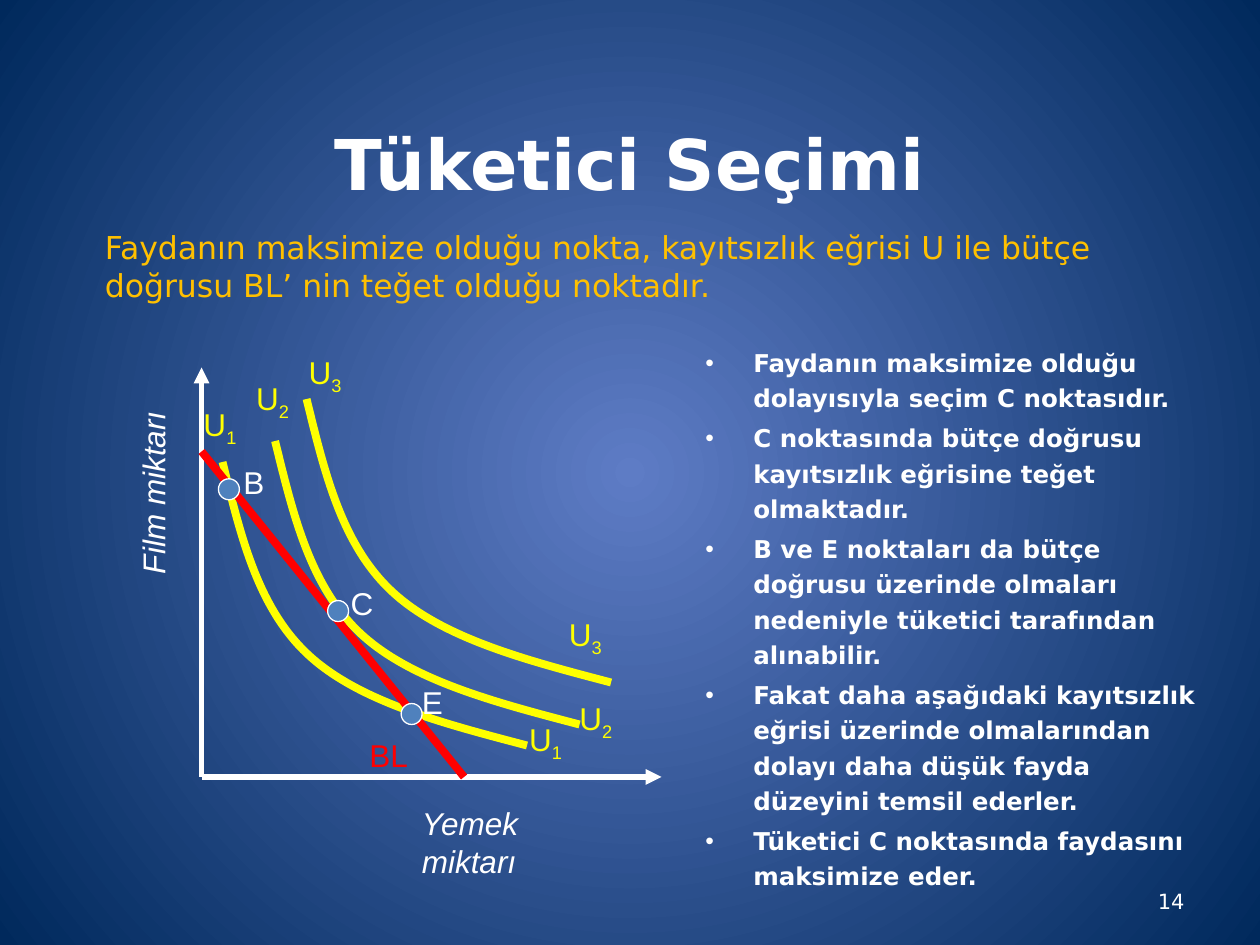
from dataclasses import dataclass

from lxml import etree
from pptx import Presentation
from pptx import util as u
from pptx.dml.color import RGBColor
from pptx.enum import shapes, text
from pptx.oxml.ns import qn

WIDTH, HEIGHT = u.Inches(10), u.Inches(7.5)
COLUMNS, ROWS = 120, 90
MIDDLE = text.MSO_ANCHOR.MIDDLE


@dataclass(frozen=True)
class Theme:
    glow: str = "5E7CC5"
    edge: str = "00295C"
    white: str = "FFFFFF"
    curve: str = "FFFF00"
    budget: str = "FF0000"
    point: str = "4F81BD"
    lead: str = "FFC000"
    prose: str = "DejaVu Sans"
    label: str = "Arial"
    title_size: float = 40
    lead_size: float = 18
    body_size: float = 14
    number_size: float = 12
    thick: float = 4.5
    axis: float = 3
    thin: float = 0.75


THEME = Theme()
ORIGIN = (19.2, 74)
BEND = [(1.7, 6.9), (3.3, 13.8), (8.1, 18.3), (12.9, 22.8), (21, 24.9), (29, 27)]
CURVES = {
    "3": ((29.2, 38), (28.2, 33), (53, 58)),
    "2": ((26.2, 42), (23.2, 35.5), (54, 66)),
    "1": ((21.2, 44), (18.2, 38), (49.2, 68)),
}
CHOICES = {
    "B": ((21.8, 46.6), (22, 43.5)),
    "C": ((32.2, 58.2), (32.2, 55)),
    "E": ((39.2, 68), (39, 64.5)),
}
POINTS = [
    "Faydanın maksimize olduğu dolayısıyla seçim C noktasıdır.",
    "C noktasında bütçe doğrusu kayıtsızlık eğrisine teğet olmaktadır.",
    "B ve E noktaları da bütçe doğrusu üzerinde olmaları nedeniyle tüketici tarafından alınabilir.",
    "Fakat daha aşağıdaki kayıtsızlık eğrisi üzerinde olmalarından dolayı daha düşük fayda düzeyini temsil ederler.",
    "Tüketici C noktasında faydasını maksimize eder.",
]


def cell(column, row):
    return round(WIDTH * column / COLUMNS), round(HEIGHT * row / ROWS)


def color(value):
    return RGBColor.from_string(value)


def add_xml(parent, tag, **attributes):
    return etree.SubElement(parent, qn(tag), **attributes)


def add_words(paragraph, words, size, font, ink, bold=False, italic=False):
    run = paragraph.add_run()
    run.text = words
    run.font.size = u.Pt(size)
    run.font.name = font
    run.font.color.rgb = color(ink)
    run.font.bold, run.font.italic = bold, italic
    return run


def add_text(parent, lines, place, extent, size=18, font=THEME.label, ink=THEME.white,
             bold=False, italic=False, align=text.PP_ALIGN.LEFT, anchor=text.MSO_ANCHOR.TOP,
             wrap=True, rotation=0, bulleted=False, subscript=""):
    box = parent.add_textbox(*cell(*place), *cell(*extent))
    box.rotation = rotation
    frame = box.text_frame
    frame.word_wrap, frame.vertical_anchor = wrap, anchor
    frame.auto_size = text.MSO_AUTO_SIZE.NONE if wrap else text.MSO_AUTO_SIZE.SHAPE_TO_FIT_TEXT
    for index, line in enumerate(lines):
        paragraph = frame.add_paragraph() if index else frame.paragraphs[0]
        paragraph.alignment = align
        add_words(paragraph, line, size, font, ink, bold, italic)
        if subscript:
            lowered = add_words(paragraph, subscript, size, font, ink, bold, italic)
            lowered._r.get_or_add_rPr().set("baseline", "-25000")
        if bulleted:
            paragraph.line_spacing = 1.2
            paragraph.space_before = u.Pt(size * 0.2)
            properties = paragraph._p.get_or_add_pPr()
            indent = u.Inches(0.38)
            properties.set("marL", str(indent))
            properties.set("indent", str(-indent))
            add_xml(properties, "a:buFont", typeface="Arial")
            add_xml(properties, "a:buChar", char="•")
    return box


def add_line(parent, start, end, ink, weight, arrow=False):
    line = parent.add_connector(shapes.MSO_CONNECTOR.STRAIGHT, *cell(*start), *cell(*end))
    line.line.color.rgb = color(ink)
    line.line.width = u.Pt(weight)
    if arrow:
        add_xml(line.line._get_or_add_ln(), "a:tailEnd", type="triangle")
    add_xml(line._element.spPr, "a:effectLst")


def add_curve(parent, start):
    builder = parent.build_freeform(*cell(*start), scale=1.0)
    bends = [cell(start[0] + across, start[1] + down) for across, down in BEND]
    builder.add_line_segments(bends, close=False)
    curve = builder.convert_to_shape()
    curve.shadow.inherit = False
    curve.fill.background()
    curve.line.color.rgb = color(THEME.curve)
    curve.line.width = u.Pt(THEME.thick)
    segments = list(curve._element.iter(qn("a:lnTo")))
    outline = segments[0].getparent()
    for first in range(0, len(segments), 3):
        bezier = add_xml(outline, "a:cubicBezTo")
        for segment in segments[first:first + 3]:
            bezier.append(segment[0])
            outline.remove(segment)


def add_point(parent, center):
    point = parent.add_shape(shapes.MSO_SHAPE.OVAL, *cell(center[0] - 1, center[1] - 1), *cell(2, 2))
    point.shadow.inherit = False
    point.fill.solid()
    point.fill.fore_color.rgb = color(THEME.point)
    point.line.color.rgb = color(THEME.white)
    point.line.width = u.Pt(THEME.thin)


def paint_background(slide):
    fill = slide.background.fill
    fill.gradient()
    for stop, ink in zip(fill.gradient_stops, (THEME.glow, THEME.edge)):
        stop.color.rgb = color(ink)
    fill.gradient_stops[0].position, fill.gradient_stops[1].position = 0, 1
    gradient = next(slide._element.iter(qn("a:gradFill")))
    gradient.remove(gradient.find(qn("a:lin")))
    circle = add_xml(gradient, "a:path", path="circle")
    add_xml(circle, "a:fillToRect", l="50000", t="50000", r="50000", b="50000")


def draw_diagram(slide):
    diagram = slide.shapes.add_group_shape().shapes
    for tip in ((ORIGIN[0], 35), (63, ORIGIN[1])):
        add_line(diagram, ORIGIN, tip, THEME.white, THEME.axis, arrow=True)
    add_text(diagram, ["Yemek", "miktarı"], (39, 76), (11.8, 8.4), italic=True, wrap=False)
    add_text(diagram, ["Film miktarı"], (5.6, 44.5), (17.9, 4.8), italic=True, wrap=False, rotation=270)
    for level, (start, *labels) in CURVES.items():
        add_curve(diagram, start)
        for place in labels:
            add_text(diagram, ["U"], place, (6.8, 6), ink=THEME.curve, wrap=False, subscript=level)
    add_line(diagram, (ORIGIN[0], 43), (44.2, ORIGIN[1]), THEME.budget, THEME.thick)
    add_text(diagram, ["BL"], (34, 69.5), (6.4, 4.8), ink=THEME.budget, wrap=False)
    for name, (center, place) in CHOICES.items():
        add_point(diagram, center)
        add_text(diagram, [name], place, (4.5, 4.8), wrap=False)


def main():
    deck = Presentation()
    deck.slide_width, deck.slide_height = WIDTH, HEIGHT
    slide = deck.slides.add_slide(deck.slide_layouts[6])
    paint_background(slide)
    add_text(slide.shapes, ["Tüketici Seçimi"], (9, 8), (102, 15), size=THEME.title_size,
             font=THEME.prose, bold=True, align=text.PP_ALIGN.CENTER, anchor=MIDDLE)
    add_text(slide.shapes, POINTS, (66, 32), (50, 52.8), size=THEME.body_size,
             font=THEME.prose, bold=True, bulleted=True)
    add_text(slide.shapes, ["14"], (86, 83.4), (28, 4.8), size=THEME.number_size,
             font=THEME.prose, align=text.PP_ALIGN.RIGHT, anchor=MIDDLE)
    draw_diagram(slide)
    add_text(slide.shapes, ["Faydanın maksimize olduğu nokta, kayıtsızlık eğrisi U ile bütçe "
                            "doğrusu BL’ nin teğet olduğu noktadır."],
             (8.8, 21.1), (106, 10.9), size=THEME.lead_size, font=THEME.prose, ink=THEME.lead)
    deck.save("out.pptx")


main()
